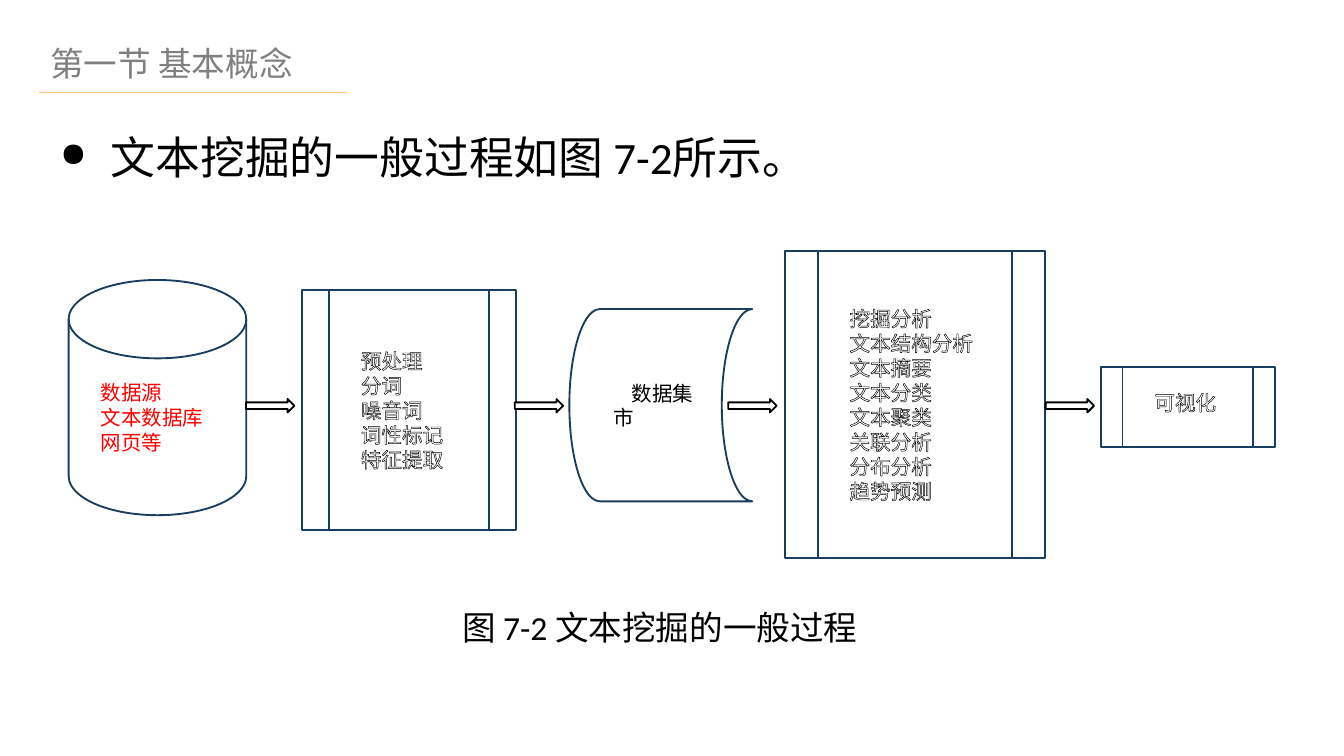
from lxml import etree
from pptx import Presentation
from pptx.dml.color import RGBColor
from pptx.enum.shapes import MSO_CONNECTOR, MSO_SHAPE
from pptx.enum.text import MSO_ANCHOR, PP_ALIGN
from pptx.oxml.ns import qn
from pptx.util import Pt

DISK = MSO_SHAPE.FLOWCHART_MAGNETIC_DISK
PROCESS = MSO_SHAPE.FLOWCHART_PREDEFINED_PROCESS
STORAGE = MSO_SHAPE.FLOWCHART_STORED_DATA
ARROW = MSO_SHAPE.RIGHT_ARROW
STRAIGHT = MSO_CONNECTOR.STRAIGHT
MIDDLE = MSO_ANCHOR.MIDDLE
LEFT = PP_ALIGN.LEFT

WHITE = RGBColor(0xFF, 0xFF, 0xFF)
BLACK = RGBColor(0, 0, 0)
RED = RGBColor(0xFF, 0, 0)
GRAY = RGBColor(0x80, 0x80, 0x80)
NAVY = RGBColor(0x18, 0x3D, 0x5F)
GOLD = RGBColor(0xFF, 0xC5, 0x6C)
CJK = "Noto Sans CJK SC"
LATIN = "Calibri"


def write(tf, text, size=18, font=CJK, color=BLACK, indent=0, hanging=0,
          bullet=None, outline=False, spacing=None):
    """Fill a text frame, one paragraph per line of text."""
    for i, line in enumerate(text.split("\n")):
        p = tf.add_paragraph() if i else tf.paragraphs[0]
        pPr = p._p.get_or_add_pPr()
        pPr.set("marL", str(Pt(hanging)))
        pPr.set("indent", str(Pt(indent - hanging)))
        if bullet:
            etree.SubElement(pPr, qn("a:buSzPct"), val="75000")
            etree.SubElement(pPr, qn("a:buChar"), char=bullet)
        p.alignment = LEFT
        if spacing:
            p.line_spacing = Pt(spacing)
        r = p.add_run()
        r.text = line
        r.font.size = Pt(size)
        r.font.name = font
        r.font.color.rgb = color
        rPr = r._r.get_or_add_rPr()
        etree.SubElement(rPr, qn("a:ea"), typeface=CJK)
        if outline:
            ln = etree.Element(qn("a:ln"), w=str(Pt(0.75)))
            fill = etree.SubElement(ln, qn("a:solidFill"))
            etree.SubElement(fill, qn("a:srgbClr"), val=str(BLACK))
            rPr.insert(0, ln)


class Flow:
    """Draw the parts of a flow diagram on one slide."""

    def __init__(self, s, line_width=1):
        self.s = s
        self.line_width = Pt(line_width)

    def text(self, x, y, w, h, text, wrap=True, margins=(7.2, 3.6), **fmt):
        tf = self.s.shapes.add_textbox(Pt(x), Pt(y), Pt(w), Pt(h)).text_frame
        tf.word_wrap = wrap
        tf.margin_left = tf.margin_right = Pt(margins[0])
        tf.margin_top = tf.margin_bottom = Pt(margins[1])
        write(tf, text, **fmt)

    def shape(self, kind, x, y, w, h, color=NAVY):
        sp = self.s.shapes.add_shape(kind, Pt(x), Pt(y), Pt(w), Pt(h))
        sp.shadow.inherit = False
        sp.fill.solid()
        sp.fill.fore_color.rgb = WHITE
        sp.line.color.rgb = color
        sp.line.width = self.line_width
        return sp

    def step(self, kind, x, y, w, h, text, color=WHITE, spacing=None):
        tf = self.shape(kind, x, y, w, h).text_frame
        tf.word_wrap = True
        tf.vertical_anchor = MIDDLE
        write(tf, text, size=11, color=color, indent=10, outline=True,
              spacing=spacing)

    def arrow(self, x):
        self.shape(ARROW, x, 213.8, 25.9, 7.2, BLACK)

    def rule(self, x1, x2, y):
        c = self.s.shapes.add_connector(STRAIGHT, Pt(x1), Pt(y), Pt(x2), Pt(y))
        c.line.color.rgb = GOLD
        c.line.width = self.line_width
        etree.SubElement(c._element.spPr, qn("a:effectLst"))


def main():
    prs = Presentation()
    prs.slide_width, prs.slide_height = Pt(720), Pt(405)
    flow = Flow(prs.slides.add_slide(prs.slide_layouts[6]))

    flow.text(21, 20.2, 147, 27.4, "第一节 基本概念", wrap=False,
              margins=(5.8, 2.9), color=GRAY)
    flow.rule(20.9, 185.8, 49.6)
    flow.text(25.2, 66.2, 657.4, 36, "文本挖掘的一般过程如图 7-2所示。",
              size=24, font=LATIN, hanging=27, bullet="●")

    flow.step(DISK, 36.8, 150, 95.2, 126, "数据源\n文本数据库\n网页等", RED)
    flow.step(PROCESS, 162, 155.5, 114.3, 128.2,
              "预处理\n分词\n噪音词\n词性标记\n特征提取")
    flow.step(PROCESS, 420.7, 134.6, 139, 164.2,
              "挖掘分析\n文本结构分析\n文本摘要\n文本分类\n文本聚类\n"
              "关联分析\n分布分析\n趋势预测")
    flow.step(STORAGE, 305, 165.6, 98, 103, "数据集市", BLACK)
    flow.step(PROCESS, 589.7, 196.6, 93.5, 43, "可视化", spacing=8)
    for x in (131.8, 275.8, 390.2, 560.2):
        flow.arrow(x)

    flow.text(240.5, 321.8, 227.5, 28.8, "图 7-2 文本挖掘的一般过程",
              font=LATIN)
    prs.save("out.pptx")


if __name__ == "__main__":
    main()
